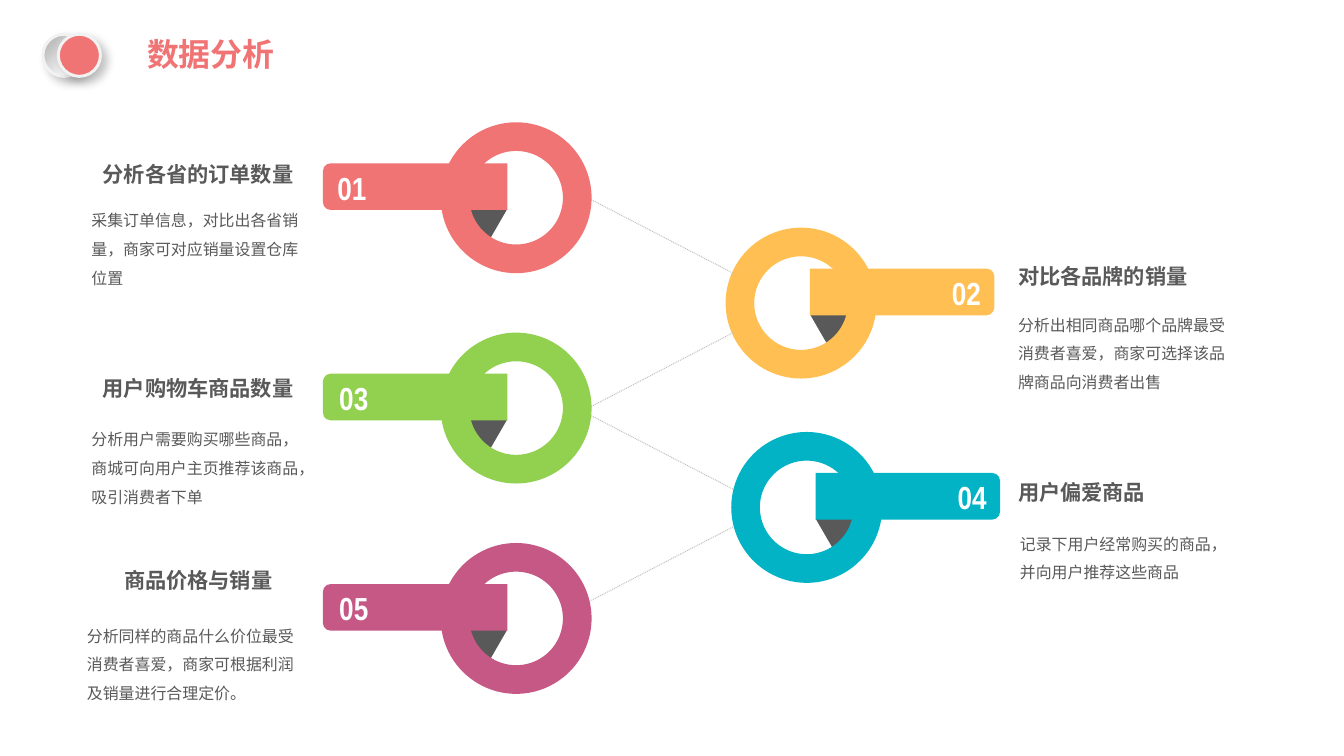
from dataclasses import dataclass

from lxml import etree
from pptx import Presentation
from pptx.dml.color import RGBColor
from pptx.enum.dml import MSO_LINE
from pptx.enum.shapes import MSO_CONNECTOR, MSO_SHAPE
from pptx.enum.text import MSO_ANCHOR, MSO_AUTO_SIZE, PP_ALIGN
from pptx.oxml.ns import qn
from pptx.shapes.autoshape import Shape
from pptx.slide import Slide
from pptx.util import Cm, Pt

ELLIPSE = MSO_SHAPE.OVAL
RECTANGLE = MSO_SHAPE.RECTANGLE
TRIANGLE = MSO_SHAPE.ISOSCELES_TRIANGLE
DONUT = MSO_SHAPE.DONUT
ROUNDED_BAR = MSO_SHAPE.ROUND_2_SAME_RECTANGLE
STRAIGHT = MSO_CONNECTOR.STRAIGHT
DOTTED = MSO_LINE.ROUND_DOT
LEFT, CENTER, RIGHT = PP_ALIGN.LEFT, PP_ALIGN.CENTER, PP_ALIGN.RIGHT
TOP, BOTTOM = MSO_ANCHOR.TOP, MSO_ANCHOR.BOTTOM
FIT_SHAPE = MSO_AUTO_SIZE.SHAPE_TO_FIT_TEXT

CORAL = RGBColor(0xF1, 0x74, 0x75)
AMBER = RGBColor(0xFF, 0xBF, 0x53)
GREEN = RGBColor(0x92, 0xD0, 0x50)
TEAL = RGBColor(0x01, 0xB3, 0xC5)
PLUM = RGBColor(0xC6, 0x58, 0x85)
DARK_GRAY = RGBColor(0x59, 0x59, 0x59)
MID_GRAY = RGBColor(0xBF, 0xBF, 0xBF)
LIGHT_GRAY = RGBColor(0xF2, 0xF2, 0xF2)
WHITE = RGBColor(0xFF, 0xFF, 0xFF)
BLACK = RGBColor(0x00, 0x00, 0x00)

FONT_NAME = "Arial Narrow"
RING_SIZE = 4.01
LEFT_RING = 11.71
FIRST_RING_TOP = 3.25
RING_PITCH = 5.59
FOLD_WIDTH, FOLD_HEIGHT = 1.35, 1.17
BAR_WIDTH, BAR_LENGTH = 1.24, 4.9
LINE_LEFT, LINE_RIGHT = 15.62, 19.48
LINE_ENDS = ((5.26, 7.26), (10.85, 8.84), (16.0, 14.0), (11.0, 13.0))


@dataclass(frozen=True)
class Topic:
    number: str
    color: RGBColor
    ring: tuple[float, float]
    number_offset: float
    heading: str
    heading_box: tuple[float, float, float]
    body: str
    body_corner: tuple[float, float]


RIGHT_TOPICS = (
    Topic("02", AMBER, (19.28, 6.05), 5.97,
          "对比各品牌的销量", (26.8, 6.88, 5.03),
          "分析出相同商品哪个品牌最受消费者喜爱，商家可选择该品牌商品向消费者出售", (26.8, 8.0)),
    Topic("04", TEAL, (19.43, 11.48), 5.97,
          "用户偏爱商品", (26.8, 12.62, 3.89),
          "记录下用户经常购买的商品，并向用户推荐这些商品", (26.85, 13.82)),
)
LEFT_TOPICS = (
    Topic("01", CORAL, (LEFT_RING, FIRST_RING_TOP), -2.79,
          "分析各省的订单数量", (2.46, 4.17, 5.59),
          "采集订单信息，对比出各省销量，商家可对应销量设置仓库位置", (2.18, 5.23)),
    Topic("03", GREEN, (LEFT_RING, FIRST_RING_TOP + RING_PITCH), -2.74,
          "用户购物车商品数量", (2.46, 9.86, 5.59),
          "分析用户需要购买哪些商品，商城可向用户主页推荐该商品，吸引消费者下单", (2.18, 11.05)),
    Topic("05", PLUM, (LEFT_RING, FIRST_RING_TOP + 2 * RING_PITCH), -2.74,
          "商品价格与销量", (3.02, 14.96, 4.47),
          "分析同样的商品什么价位最受消费者喜爱，商家可根据利润及销量进行合理定价。", (2.06, 16.26)),
)


def add_filled_shape(slide: Slide, kind: int, left: float, top: float, width: float,
                     height: float, color: RGBColor, rotation: float = 0) -> Shape:
    shape = slide.shapes.add_shape(kind, Cm(left), Cm(top), Cm(width), Cm(height))
    shape.shadow.inherit = False
    shape.fill.solid()
    shape.fill.fore_color.rgb = color
    shape.line.fill.background()
    shape.rotation = rotation
    return shape


def write_text(shape: Shape, text: str, *, size: float, color: RGBColor = DARK_GRAY,
               bold: bool = False, alignment: int = LEFT, anchor: int = TOP,
               wrap: bool = True, line_spacing: float = 1.0,
               inset: float | None = None) -> None:
    frame = shape.text_frame
    frame.word_wrap = wrap
    frame.auto_size = FIT_SHAPE
    frame.vertical_anchor = anchor
    if inset is not None:
        frame.margin_left = frame.margin_right = Cm(inset)
        frame.margin_top = frame.margin_bottom = Cm(inset)
    paragraph = frame.paragraphs[0]
    paragraph.alignment = alignment
    paragraph.line_spacing = line_spacing
    run = paragraph.add_run()
    run.text = text
    run.font.name = FONT_NAME
    run.font.size = Pt(size)
    run.font.bold = bold
    run.font.color.rgb = color


def add_text(slide: Slide, left: float, top: float, width: float, height: float,
             text: str, **text_format) -> None:
    box = slide.shapes.add_textbox(Cm(left), Cm(top), Cm(width), Cm(height))
    write_text(box, text, **text_format)


def add_soft_shadow(shape: Shape) -> None:
    effects = shape._element.spPr.find(qn("a:effectLst"))
    shadow = etree.SubElement(effects, qn("a:outerShdw"), blurRad=str(Pt(7)),
                              dist=str(Pt(5.9)), dir="2700000", algn="tl", rotWithShape="0")
    color = etree.SubElement(shadow, qn("a:srgbClr"), val=str(BLACK))
    etree.SubElement(color, qn("a:alpha"), val="23000")


def add_header(slide: Slide) -> None:
    back, front = (add_filled_shape(slide, ELLIPSE, left, 0.91, 1.12, 1.12, CORAL)
                   for left in (1.14, 1.55))
    back.fill.gradient()
    back.fill.gradient_angle = 315
    for stop, position, color in zip(back.fill.gradient_stops, (0.2, 0.8), (MID_GRAY, WHITE)):
        stop.position = position
        stop.color.rgb = color
    for disc in (back, front):
        disc.line.color.rgb = LIGHT_GRAY
        disc.line.width = Pt(2.25)
        add_soft_shadow(disc)
    add_text(slide, 3.66, 0.91, 7.21, 1.4, "数据分析", size=24, color=CORAL,
             bold=True, line_spacing=0.9)


def add_dotted_line(slide: Slide, left_end: float, right_end: float) -> None:
    line = slide.shapes.add_connector(STRAIGHT, Cm(LINE_LEFT), Cm(left_end),
                                      Cm(LINE_RIGHT), Cm(right_end))
    line.line.color.rgb = MID_GRAY
    line.line.width = Pt(0.75)
    line.line.dash_style = DOTTED
    etree.SubElement(line._element.spPr, qn("a:effectLst"))


def add_topic(slide: Slide, topic: Topic, on_right: bool) -> None:
    left, top = topic.ring
    fold_offset, bar_offset, turn = 0.25, -1.3, -1
    if on_right:
        fold_offset = RING_SIZE - fold_offset - FOLD_WIDTH
        bar_offset = RING_SIZE - bar_offset - BAR_WIDTH
        turn = 1
    add_filled_shape(slide, TRIANGLE, left + fold_offset, top + 2.01,
                     FOLD_WIDTH, FOLD_HEIGHT, DARK_GRAY, turn * 60)
    ring = add_filled_shape(slide, DONUT, left, top, RING_SIZE, RING_SIZE, topic.color)
    ring.adjustments[0] = 0.19
    add_filled_shape(slide, ROUNDED_BAR, left + bar_offset, top - 0.74,
                     BAR_WIDTH, BAR_LENGTH, topic.color, turn * 90)
    label = add_filled_shape(slide, RECTANGLE, left + topic.number_offset, top + 1.22,
                             0.86, 1.02, topic.color)
    write_text(label, topic.number, size=24, color=WHITE, bold=True, alignment=CENTER,
               anchor=BOTTOM, wrap=False, inset=0)
    heading_left, heading_top, heading_width = topic.heading_box
    add_text(slide, heading_left, heading_top, heading_width, 0.94, topic.heading, size=16,
             bold=True, alignment=LEFT if on_right else RIGHT, wrap=False)
    add_text(slide, *topic.body_corner, 6.4, 2.57, topic.body, size=12, line_spacing=1.5)


def main() -> None:
    presentation = Presentation()
    presentation.slide_width = Cm(35.71)
    presentation.slide_height = Cm(20.09)
    slide = presentation.slides.add_slide(presentation.slide_layouts[6])
    add_header(slide)
    for topic in RIGHT_TOPICS:
        add_topic(slide, topic, on_right=True)
    for left_end, right_end in LINE_ENDS:
        add_dotted_line(slide, left_end, right_end)
    for topic in LEFT_TOPICS:
        add_topic(slide, topic, on_right=False)
    presentation.save("out.pptx")


if __name__ == "__main__":
    main()
